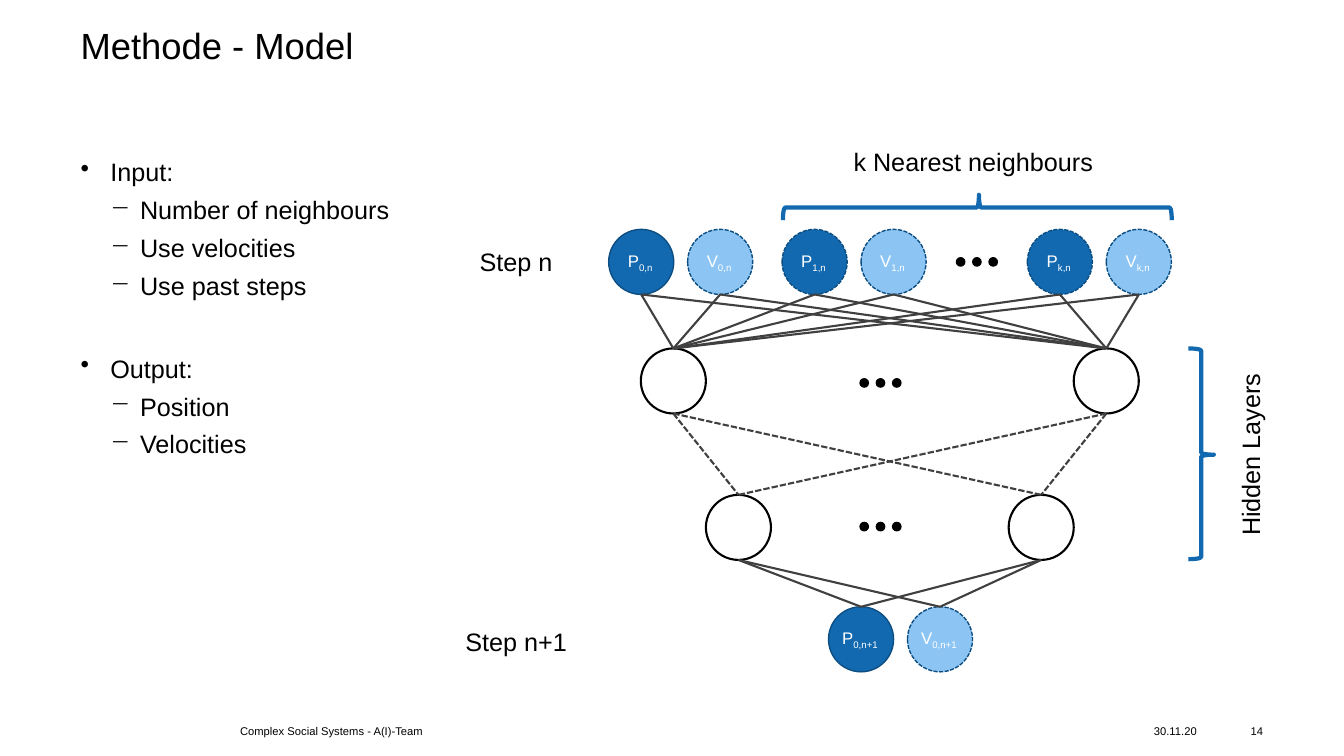
"""Build the slide that shows the neural network model with its inputs and outputs."""
from dataclasses import dataclass
from itertools import product

from pptx import Presentation
from pptx.dml.color import RGBColor
from pptx.enum.dml import MSO_LINE_DASH_STYLE as Dash
from pptx.enum.shapes import MSO_CONNECTOR as Connector, MSO_SHAPE as Preset
from pptx.enum.text import MSO_ANCHOR as Anchor, PP_ALIGN as Align
from pptx.oxml.ns import qn
from pptx.shapes.autoshape import Shape
from pptx.text.text import TextFrame
from pptx.util import Cm, Pt

BLACK = RGBColor(0x00, 0x00, 0x00)
WHITE = RGBColor(0xFF, 0xFF, 0xFF)
BLUE = RGBColor(0x12, 0x69, 0xB0)
LIGHT_BLUE = RGBColor(0x8C, 0xC5, 0xF3)
DARK_BLUE = RGBColor(0x0D, 0x4E, 0x82)
GREY = RGBColor(0x40, 0x40, 0x40)

NODE_SIZE = 1.64
PAIR_PITCH = 1.99
DOT_SIZE = 0.21
DOT_PITCH = 0.41
NO_MARGINS = dict.fromkeys(("margin_left", "margin_top", "margin_right", "margin_bottom"), 0)
NODE_FRAME = {"vertical_anchor": Anchor.MIDDLE, "word_wrap": False,
              "margin_top": Cm(0.13), "margin_bottom": Cm(0.13)}


@dataclass
class Node:
    """A neuron, placed by its centre line and top edge."""
    x: float
    top: float
    fill: RGBColor = WHITE
    line: RGBColor = BLACK
    width: float = 1.5
    dashed: bool = False
    symbol: str = ""
    index: str = ""
    side_margins: tuple[float, float] = (0.2, 0.25)


@dataclass
class Label:
    """A single line of text in a box."""
    text: str
    box: tuple[float, float, float, float]
    size: float = 18
    align: Align = Align.LEFT
    rotation: float = 0


@dataclass
class Bullet:
    """One list entry; level 0 is a heading."""
    text: str
    level: int
    before: float


def apply(target: object, values: dict) -> None:
    """Set every given attribute on the target."""
    for name, value in values.items():
        setattr(target, name, value)


def add_run(paragraph, text: str, size: float, color: RGBColor = BLACK):
    """Append a formatted run and return it."""
    run = paragraph.add_run()
    run.text = text
    apply(run.font, {"name": "Arial", "size": Pt(size)})
    run.font.color.rgb = color
    return run


def add_frame(slide, box: tuple, values: dict, rotation: float = 0) -> TextFrame:
    """Add a text box and return its formatted frame."""
    text_box = slide.shapes.add_textbox(*map(Cm, box))
    text_box.rotation = rotation
    apply(text_box.text_frame, values)
    return text_box.text_frame


def draw_label(slide, label: Label, values: dict) -> None:
    """Draw a label."""
    paragraph = add_frame(slide, label.box, values, label.rotation).paragraphs[0]
    paragraph.alignment = label.align
    add_run(paragraph, label.text, label.size)


def draw_bullets(frame: TextFrame, bullets: list[Bullet]) -> None:
    """Fill the frame with a two-level list."""
    for number, bullet in enumerate(bullets):
        paragraph = frame.add_paragraph() if number else frame.paragraphs[0]
        properties = paragraph._p.get_or_add_pPr()
        properties.set("marL", str(Cm(0.75 * (bullet.level + 1))))
        properties.set("indent", str(-Cm(0.75)))
        mark = properties.makeelement(qn("a:buChar"), {"char": "•−"[bullet.level]})
        properties.append(mark)
        apply(paragraph, {"level": bullet.level, "space_before": Pt(bullet.before)})
        add_run(paragraph, bullet.text, 18)


def draw_preset(slide, preset: Preset, box: tuple, line: RGBColor, width: float) -> Shape:
    """Draw an outlined preset shape without shadow."""
    shape = slide.shapes.add_shape(preset, *map(Cm, box))
    shape.shadow.inherit = False
    shape.line.color.rgb = line
    shape.line.width = Pt(width)
    return shape


def draw_node(slide, node: Node) -> Shape:
    """Draw a neuron with its symbol and subscript."""
    box = (node.x - NODE_SIZE / 2, node.top, NODE_SIZE, NODE_SIZE)
    circle = draw_preset(slide, Preset.OVAL, box, node.line, node.width)
    circle.fill.solid()
    circle.fill.fore_color.rgb = node.fill
    if node.dashed:
        circle.line.dash_style = Dash.SQUARE_DOT
    if node.symbol:
        left, right = map(Cm, node.side_margins)
        apply(circle.text_frame, NODE_FRAME | {"margin_left": left, "margin_right": right})
        paragraph = circle.text_frame.paragraphs[0]
        paragraph.alignment = Align.CENTER
        add_run(paragraph, node.symbol, 12, WHITE)
        subscript = add_run(paragraph, node.index, 12, WHITE)
        subscript._r.get_or_add_rPr().set("baseline", "-25000")
    return circle


def draw_dots(slide, x: float, y: float) -> None:
    """Draw three dots centred on a point."""
    for step in (-1, 0, 1):
        left = x + step * DOT_PITCH - DOT_SIZE / 2
        box = (left, y - DOT_SIZE / 2, DOT_SIZE, DOT_SIZE)
        dot = draw_preset(slide, Preset.OVAL, box, BLACK, 1)
        dot.fill.solid()
        dot.fill.fore_color.rgb = BLACK


def draw_brace(slide, box: tuple, rotation: float) -> None:
    """Draw a turned brace."""
    brace = draw_preset(slide, Preset.LEFT_BRACE, box, BLUE, 3)
    brace.fill.background()
    brace.rotation = rotation
    brace.adjustments[0] = 0.083
    brace.adjustments[1] = 0.496


def link_layers(slide, upper: list[Shape], lower: list[Shape], dashed: bool) -> None:
    """Join every upper neuron with every lower one."""
    for source, target in product(upper, lower):
        start = (source.left + source.width // 2, source.top + source.height)
        end = (target.left + target.width // 2, target.top)
        link = slide.shapes.add_connector(Connector.STRAIGHT, *start, *end)
        link.end_connect(target, 0)
        link.line.color.rgb = GREY
        link.line.width = Pt(1.5)
        if dashed:
            link.line.dash_style = Dash.SQUARE_DOT
        properties = link._element.spPr
        properties.append(properties.makeelement(qn("a:effectLst"), {}))


def state_pair(x: float, top: float, index: str, dashed: bool, margins=(0.2, 0.25)) -> list[Node]:
    """Return the position neuron and the velocity neuron of one agent."""
    return [Node(x, top, BLUE, DARK_BLUE, 1, dashed, "P", index, margins),
            Node(x + PAIR_PITCH, top, LIGHT_BLUE, DARK_BLUE, 1, True, "V", index, margins)]


BULLETS = [
    Bullet("Input:", 0, 0),
    Bullet("Number of neighbours", 1, 5.5),
    Bullet("Use velocities", 1, 5.5),
    Bullet("Use past steps", 1, 5.5),
    Bullet("Output:", 0, 37.5),
    Bullet("Position", 1, 5.5),
    Bullet("Velocities", 1, 5.5),
]
FOOTERS = [
    Label("30.11.20", (29.08, 18.11, 1.7, 0.61), 8),
    Label("Complex Social Systems - A(I)-Team", (6.05, 18.11, 15.01, 0.61), 8),
    Label("14", (30.94, 18.11, 0.89, 0.61), 8, Align.RIGHT),
]
LABELS = [
    Label("k Nearest neighbours", (21.26, 3.56, 6.71, 1.02)),
    Label("Step n", (11.84, 6.07, 2.36, 1.02)),
    Label("Step n+1", (11.48, 15.65, 3.1, 1.02)),
    Label("Hidden Layers", (29.18, 10.92, 4.65, 1.02), rotation=270),
]
LAYERS = [
    state_pair(16.16, 5.78, "0,n", False) + state_pair(20.53, 5.78, "1,n", True)
    + state_pair(26.71, 5.78, "k,n", True),
    [Node(16.97, 8.78), Node(27.88, 8.78)],
    [Node(18.61, 12.47), Node(26.24, 12.47)],
    state_pair(21.7, 15.29, "0,n+1", False, (0.05, 0.1)),
]
DOTS = [(24.62, 6.6), (22.19, 9.65), (22.19, 13.27)]
BRACES = [((24.31, 0.33, 0.64, 9.8), 90), ((29.95, 8.78, 0.64, 5.31), 180)]


def main() -> None:
    """Draw the slide and save it."""
    deck = Presentation()
    apply(deck, {"slide_width": Cm(33.87), "slide_height": Cm(19.05)})
    slide = deck.slides.add_slide(deck.slide_layouts[6])
    wrapped = NO_MARGINS | {"word_wrap": True}
    title = add_frame(slide, (2.03, 0.71, 29.79, 2.49), wrapped).paragraphs[0]
    title.line_spacing = 0.9
    add_run(title, "Methode - Model", 26)
    draw_bullets(add_frame(slide, (2.03, 3.94, 29.79, 13), wrapped), BULLETS)
    for footer in FOOTERS:
        draw_label(slide, footer, wrapped | {"vertical_anchor": Anchor.MIDDLE})
    for label in LABELS:
        draw_label(slide, label, {"word_wrap": False})
    layers = [[draw_node(slide, node) for node in layer] for layer in LAYERS]
    for number, (upper, lower) in enumerate(zip(layers, layers[1:])):
        link_layers(slide, upper, lower, dashed=number == 1)
    for x, y in DOTS:
        draw_dots(slide, x, y)
    for box, rotation in BRACES:
        draw_brace(slide, box, rotation)
    deck.save("out.pptx")


if __name__ == "__main__":
    main()
